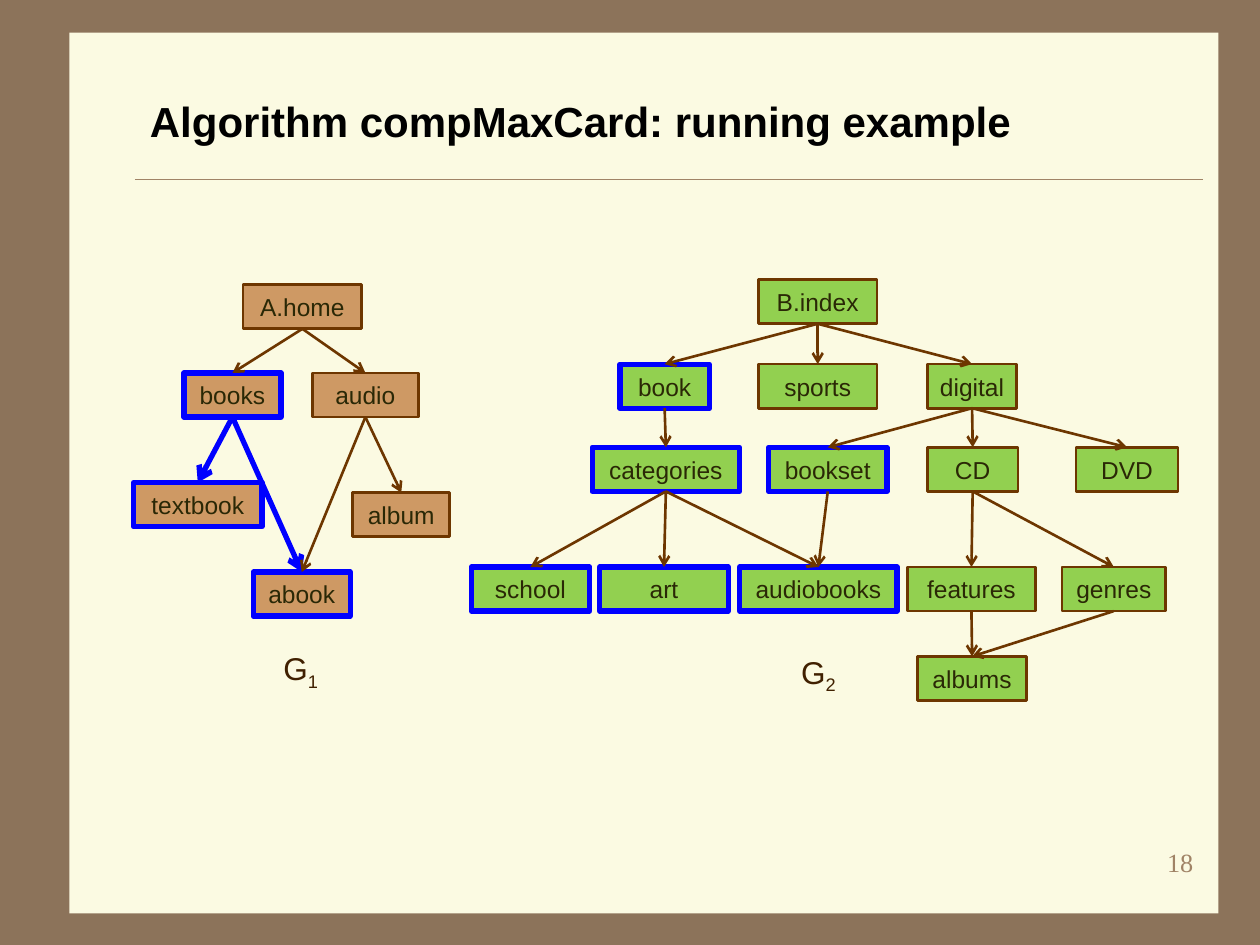
from lxml.etree import SubElement
from pptx import Presentation
from pptx.dml.color import RGBColor
from pptx.enum.shapes import MSO_CONNECTOR, MSO_SHAPE
from pptx.enum.text import MSO_ANCHOR, PP_ALIGN
from pptx.oxml.ns import qn
from pptx.util import Inches, Pt

FRAME = RGBColor(0x8C, 0x73, 0x5A)
PAPER = RGBColor(0xFB, 0xFA, 0xE2)
TAN = RGBColor(0xA0, 0x83, 0x66)
BLACK = RGBColor(0x00, 0x00, 0x00)
BROWN = RGBColor(0x6D, 0x36, 0x00)
BLUE = RGBColor(0x00, 0x00, 0xFF)
NODE_TEXT = RGBColor(0x2A, 0x28, 0x06)
LABEL_TEXT = RGBColor(0x40, 0x20, 0x00)
ORANGE = RGBColor(0xCE, 0x99, 0x64)
GREEN = RGBColor(0x92, 0xD0, 0x50)

NODE_HEIGHT = 0.35
BOTTOM, TOP = 2, 0

G1_NODES = {
    "A.home": (0.87, 0, 0.94),
    "books": (0.4, 0.7, 0.77),
    "audio": (1.42, 0.7, 0.84),
    "textbook": (0, 1.57, 1.02),
    "abook": (0.95, 2.28, 0.77),
    "album": (1.74, 1.65, 0.77),
}
G1_EDGES = {
    "A.home": ["books", "audio"],
    "books": ["textbook", "abook"],
    "audio": ["album", "abook"],
}
G1_MATCHED = {"books", "textbook", "abook"}

ROWS = [0, 0.67, 1.33, 2.28, 2.99]
G2_NODES = {
    "B.index": (2.28, ROWS[0], 0.94),
    "book": (1.18, ROWS[1], 0.71),
    "sports": (2.28, ROWS[1], 0.94),
    "digital": (3.62, ROWS[1], 0.71),
    "categories": (0.96, ROWS[2], 1.17),
    "bookset": (2.36, ROWS[2], 0.94),
    "CD": (3.62, ROWS[2], 0.72),
    "DVD": (4.8, ROWS[2], 0.81),
    "school": (0, ROWS[3], 0.94),
    "art": (1.02, ROWS[3], 1.02),
    "audiobooks": (2.13, ROWS[3], 1.25),
    "features": (3.46, ROWS[3], 1.02),
    "genres": (4.69, ROWS[3], 0.82),
    "albums": (3.54, ROWS[4], 0.87),
}
G2_EDGES = {
    "B.index": ["book", "sports", "digital"],
    "book": ["categories"],
    "categories": ["school", "art", "audiobooks"],
    "bookset": ["audiobooks"],
    "digital": ["bookset", "CD", "DVD"],
    "CD": ["features", "genres"],
    "features": ["albums"],
    "genres": ["albums"],
}
G2_MATCHED = {"book", "categories", "bookset", "school", "art", "audiobooks"}


def write(shape, text, size, color, font="Arial", bold=False, align=PP_ALIGN.LEFT,
          anchor=MSO_ANCHOR.TOP, wrap=True, subscript=""):
    frame = shape.text_frame
    frame.word_wrap = wrap
    frame.vertical_anchor = anchor
    paragraph = frame.paragraphs[0]
    paragraph.alignment = align
    for part in filter(None, (text, subscript)):
        run = paragraph.add_run()
        run.text = part
        run.font.name = font
        run.font.size = Pt(size)
        run.font.bold = bold
        run.font.color.rgb = color
    if subscript:
        run._r.get_or_add_rPr().set("baseline", "-25000")


def add_box(slide, left, top, width, height, fill):
    box = slide.shapes.add_shape(MSO_SHAPE.RECTANGLE, Inches(left), Inches(top),
                                 Inches(width), Inches(height))
    box.shadow.inherit = False
    box.fill.solid()
    box.fill.fore_color.rgb = fill
    box.line.fill.background()
    return box


def add_line(slide, start, end, color, width):
    line = slide.shapes.add_connector(MSO_CONNECTOR.STRAIGHT, *map(Inches, start + end))
    line.line.color.rgb = color
    line.line.width = Pt(width)
    SubElement(line._element.spPr, qn("a:effectLst"))
    return line


def add_arrow(slide, parent, child, color, width):
    arrow = add_line(slide, (0, 0), (0, 0), color, width)
    arrow.begin_connect(parent, BOTTOM)
    arrow.end_connect(child, TOP)
    outline = arrow.line._get_or_add_ln()
    SubElement(outline, qn("a:tailEnd"), type="arrow")


def add_page(slide, left, top, width, height):
    slide.background.fill.solid()
    slide.background.fill.fore_color.rgb = FRAME
    add_box(slide, left, top, width, height, PAPER)
    add_line(slide, (left + 0.52, top + 1.16), (left + 9, top + 1.16), TAN, 0.25)
    number = slide.shapes.add_textbox(Inches(left + 6.95), Inches(top + 6.41),
                                      Inches(2.08), Inches(0.5))
    number.text_frame.margin_left = number.text_frame.margin_right = Inches(0.11)
    number.text_frame.paragraphs[0].space_before = Pt(7.5)
    write(number, "18", 15, TAN, font="Times New Roman", align=PP_ALIGN.RIGHT)


def add_title(slide, left, top, width, height):
    title = slide.shapes.title
    slide.shapes.element.append(title.element)
    title.left, title.top = Inches(left), Inches(top)
    title.width, title.height = Inches(width), Inches(height)
    title.text_frame.margin_left = title.text_frame.margin_right = Inches(0.11)
    write(title, "Algorithm compMaxCard: running example", 24, BLACK, bold=True,
          anchor=MSO_ANCHOR.MIDDLE)


def add_graph(slide, left, top, nodes, edges, matched, fill, label, edge_matched=()):
    boxes = {}
    for name, (x, y, width) in nodes.items():
        box = add_box(slide, left + x, top + y, width, NODE_HEIGHT, fill)
        box.line.color.rgb = BLUE if name in matched else BROWN
        box.line.width = Pt(3 if name in matched else 1.5)
        write(box, name, 14, NODE_TEXT, align=PP_ALIGN.CENTER,
              anchor=MSO_ANCHOR.MIDDLE, wrap=False)
        boxes[name] = box
    for parent, children in edges.items():
        color, width = (BLUE, 3) if parent in edge_matched else (BROWN, 1.5)
        for child in children:
            add_arrow(slide, boxes[parent], boxes[child], color, width)
    subscript, x, y = label
    caption = slide.shapes.add_textbox(Inches(left + x), Inches(top + y),
                                       Inches(0.49), Inches(0.4))
    write(caption, "G", 18, LABEL_TEXT, wrap=False, subscript=subscript)


def main():
    deck = Presentation()
    deck.slide_width, deck.slide_height = Inches(10), Inches(7.5)
    slide = deck.slides.add_slide(deck.slide_layouts[5])
    add_page(slide, 0.55, 0.26, 9.12, 6.99)
    add_title(slide, 1.08, 0.5, 8.5, 0.91)
    add_graph(slide, 1.06, 2.26, G1_NODES, G1_EDGES, G1_MATCHED, ORANGE,
              ("1", 1.09, 2.84), edge_matched={"books"})
    add_graph(slide, 3.74, 2.22, G2_NODES, G2_EDGES, G2_MATCHED, GREEN,
              ("2", 2.52, 2.91))
    deck.save("out.pptx")


if __name__ == "__main__":
    main()
